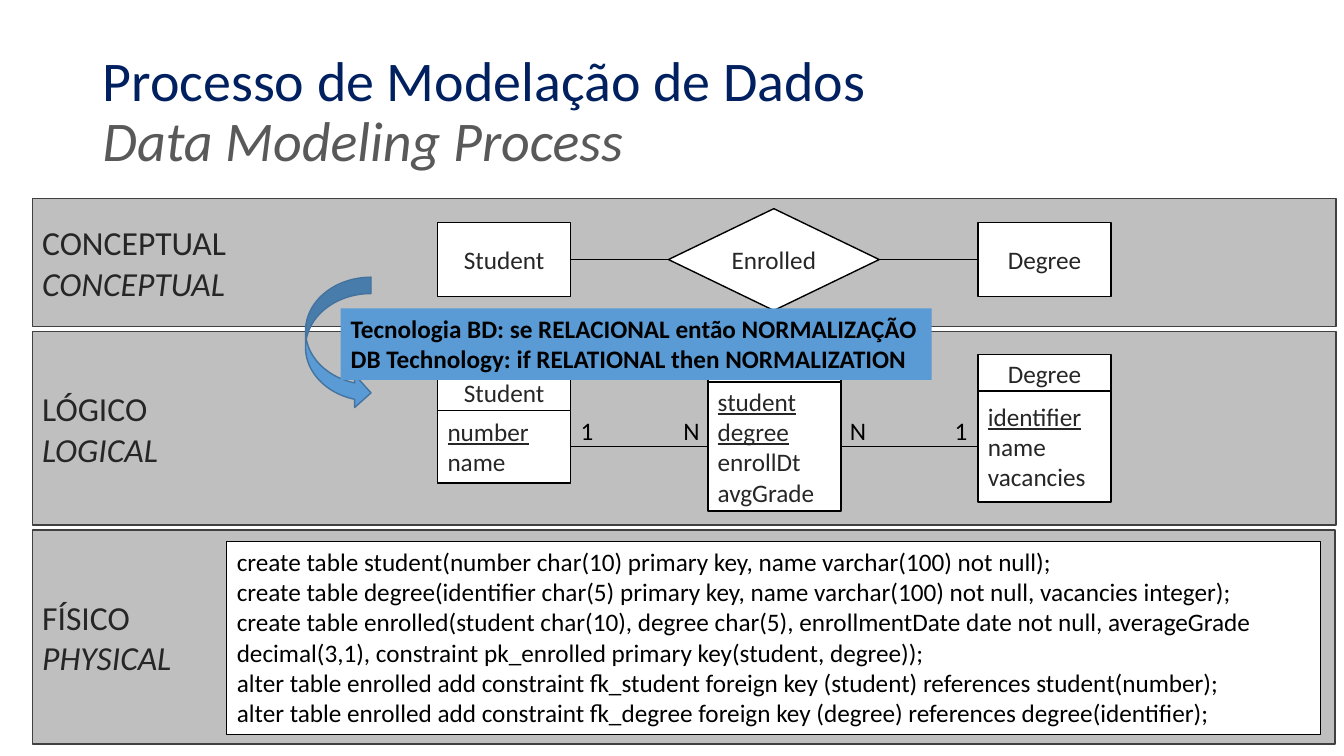
from lxml import etree
from pptx import Presentation
from pptx.dml.color import RGBColor
from pptx.enum.shapes import MSO_CONNECTOR, MSO_SHAPE
from pptx.enum.text import MSO_ANCHOR, PP_ALIGN
from pptx.oxml.ns import qn
from pptx.util import Inches, Pt

COLORS = {
    "black": "000000", "white": "FFFFFF", "dark": "262626", "edge": "404040",
    "band": "BFBFBF", "navy": "002060", "gray": "595959",
    "blue": "5B9BD5", "blue_edge": "43739E",
}
TOP, LEFT, BOTTOM, RIGHT = range(4)


def rgb(name):
    return RGBColor.from_string(COLORS[name])


def write(p, text, size=18, color="dark", bold=False, italic=False, underline=False):
    r = p.add_run()
    r.text = text
    f = r.font
    f.name, f.size = "Calibri", Pt(size)
    f.bold, f.italic, f.underline = bold, italic, underline
    f.color.rgb = rgb(color)


class SlideBuilder:
    def __init__(self, s):
        self.s = s

    def fill_text(self, sp, lines, align=PP_ALIGN.LEFT, anchor=MSO_ANCHOR.MIDDLE, wrap=True):
        """Each line is a (text, format) pair."""
        tf = sp.text_frame
        tf.word_wrap, tf.vertical_anchor = wrap, anchor
        for i, (text, fmt) in enumerate(lines):
            p = tf.add_paragraph() if i else tf.paragraphs[0]
            p.alignment = align
            write(p, text, **fmt)

    def shape(self, x, y, w, h, lines=(), kind=MSO_SHAPE.RECTANGLE, fill="white",
              line="black", weight=1, **layout):
        sp = self.s.shapes.add_shape(kind, Inches(x), Inches(y), Inches(w), Inches(h))
        sp.shadow.inherit = False
        sp.fill.solid()
        sp.fill.fore_color.rgb = rgb(fill)
        if line:
            sp.line.color.rgb = rgb(line)
            sp.line.width = Pt(weight)
        else:
            sp.line.fill.background()
        self.fill_text(sp, lines, **layout)
        return sp

    def text_box(self, x, y, w, h, lines=(), **layout):
        sp = self.s.shapes.add_textbox(Inches(x), Inches(y), Inches(w), Inches(h))
        self.fill_text(sp, lines, **layout)
        return sp

    def link(self, left, right):
        c = self.s.shapes.add_connector(MSO_CONNECTOR.STRAIGHT, 0, 0, 0, 0)
        c.begin_connect(left, RIGHT)
        c.end_connect(right, LEFT)
        c.line.color.rgb = rgb("black")
        c.line.width = Pt(0.5)
        etree.SubElement(c._element.spPr, qn("a:effectLst"))

    def band(self, y, w, h, name, translation):
        self.shape(0.32, y, w, h, [(name, {"size": 24}),
                                   (translation, {"size": 24, "italic": True})],
                   fill="band", line="edge")

    def entity(self, x, name, keys, fields, h):
        """Header above a body centred on the relationship line."""
        y = 4.43 - h / 2
        self.shape(x, y - 0.36, 1.32, 0.37, [(name, {})], align=PP_ALIGN.CENTER)
        lines = [(k, {"underline": True}) for k in keys] + [(f, {}) for f in fields]
        return self.shape(x, y, 1.32, h, lines)


def main():
    prs = Presentation()
    prs.slide_width, prs.slide_height = Inches(13.33), Inches(7.5)
    b = SlideBuilder(prs.slides.add_slide(prs.slide_layouts[6]))

    # Level bands
    b.band(5.26, 12.92, 2.12, "FÍSICO", "PHYSICAL")
    b.band(3.29, 12.93, 1.92, "LÓGICO", "LOGICAL")
    b.band(1.97, 12.93, 1.27, "CONCEPTUAL", "CONCEPTUAL")

    # Title
    tf = b.text_box(0.92, 0.4, 11.5, 1.45).text_frame
    p = tf.paragraphs[0]
    p.line_spacing = 0.9
    write(p, "Processo de Modelação de Dados", size=40, color="navy")
    p.add_line_break()
    write(p, "Data Modeling Process", size=40, color="gray", italic=True)

    # Physical level: SQL
    sql = [
        "create table student(number char(10) primary key, name varchar(100) not null);",
        "create table degree(identifier char(5) primary key, name varchar(100) not null, "
        "vacancies integer);",
        "create table enrolled(student char(10), degree char(5), enrollmentDate date not null, "
        "averageGrade decimal(3,1), constraint pk_enrolled primary key(student, degree));",
        "alter table enrolled add constraint fk_student foreign key (student) "
        "references student(number);",
        "alter table enrolled add constraint fk_degree foreign key (degree) "
        "references degree(identifier);",
    ]
    b.shape(2.25, 5.37, 10.85, 1.92, [(line, {"color": "black"}) for line in sql],
            weight=0.75, anchor=MSO_ANCHOR.TOP)

    # Conceptual level: entities and relationship
    student, degree = [b.shape(x, 2.21, 1.32, 0.73, [(name, {})], align=PP_ALIGN.CENTER)
                       for x, name in ((4.34, "Student"), (9.7, "Degree"))]
    enrolled = b.shape(6.63, 2.07, 2.09, 1.01, [("Enrolled", {})],
                       kind=MSO_SHAPE.DIAMOND, align=PP_ALIGN.CENTER)
    b.link(enrolled, degree)
    b.link(student, enrolled)

    # Logical level: tables
    degree = b.entity(9.7, "Degree", ["identifier"], ["name", "vacancies"], 1.1)
    student = b.entity(4.34, "Student", ["number"], ["name"], 0.72)
    enrolled = b.entity(7.02, "Enrolled", ["student", "degree"], ["enrollDt", "avgGrade"], 1.28)
    b.link(student, enrolled)
    b.link(enrolled, degree)

    # Cardinalities
    for x, w, mark in ((5.66, 0.33, "1"), (9.37, 0.33, "1"), (8.33, 0.36, "N"), (6.68, 0.36, "N")):
        b.text_box(x, 4.07, w, 0.4, [(mark, {"color": "black"})],
                   anchor=MSO_ANCHOR.TOP, wrap=False)

    # Normalization step
    b.shape(3.03, 2.75, 0.65, 1.31, kind=MSO_SHAPE.CURVED_RIGHT_ARROW,
            fill="blue", line="blue_edge")
    note = {"color": "black", "bold": True}
    b.shape(3.38, 3.06, 5.86, 0.71,
            [("Tecnologia BD: se RELACIONAL então NORMALIZAÇÃO", note),
             ("DB Technology: if RELATIONAL then NORMALIZATION", note)],
            fill="blue", line=None, anchor=MSO_ANCHOR.TOP, wrap=False)

    prs.save("out.pptx")


if __name__ == "__main__":
    main()
